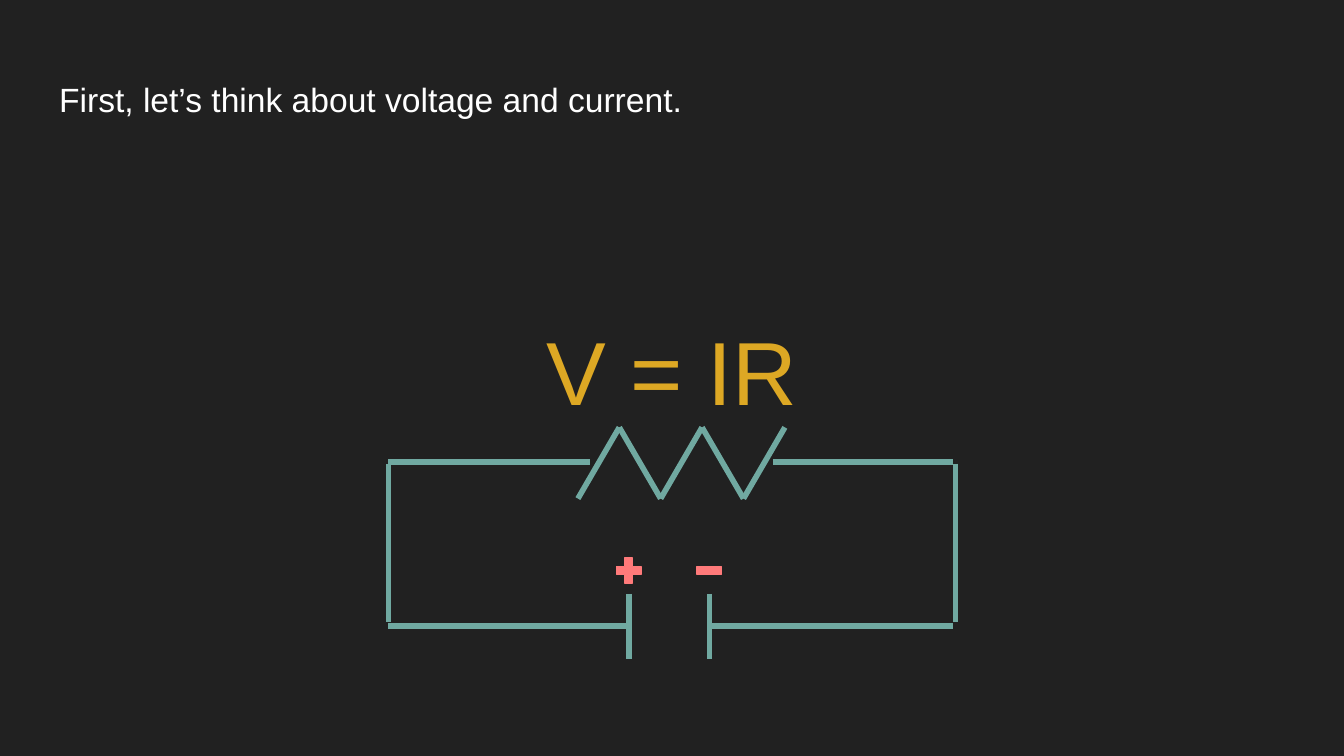
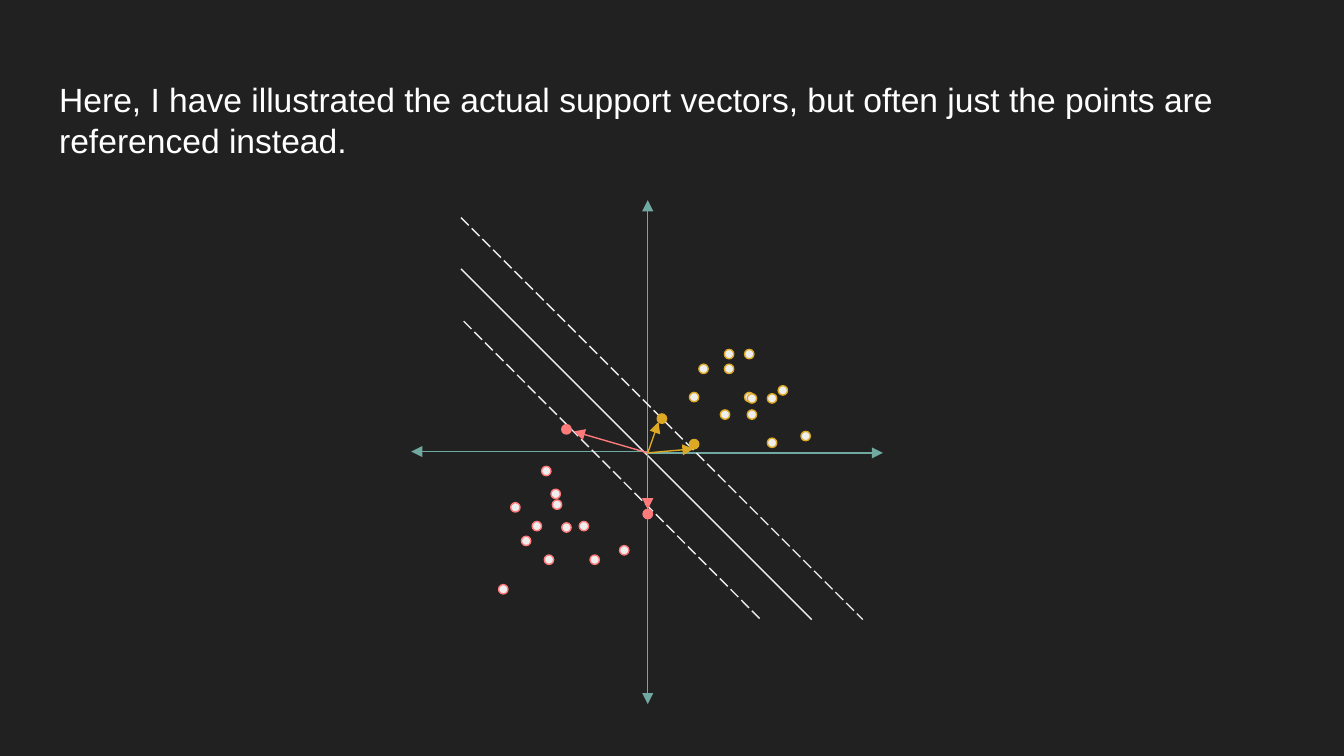
from dataclasses import dataclass
from itertools import pairwise

from lxml.etree import SubElement
from pptx import Presentation
from pptx.dml.color import RGBColor
from pptx.enum.dml import MSO_LINE_DASH_STYLE as Dash
from pptx.enum.shapes import MSO_CONNECTOR, MSO_SHAPE as Shape
from pptx.enum.text import MSO_ANCHOR, MSO_AUTO_SIZE, PP_ALIGN
from pptx.oxml.ns import qn
from pptx.util import Emu, Inches, Pt


@dataclass(frozen=True)
class Theme:
    background = RGBColor.from_string("212121")
    white = RGBColor.from_string("FFFFFF")
    pale = RGBColor.from_string("EEEEEE")
    teal = RGBColor.from_string("70A9A1")
    amber = RGBColor.from_string("DDA824")
    coral = RGBColor.from_string("FF7A7A")
    font = "Arial"
    title_size = Pt(18)
    formula_size = Pt(48)
    wire_width = Pt(3)
    thin_width = Pt(0.75)


theme = Theme()

prs = Presentation()
prs.slide_width, prs.slide_height = Inches(10), Inches(5.625)
CELL = prs.slide_width / 100  # square grid, 100 columns wide

master_fill = prs.slide_master.background.fill
master_fill.solid()
master_fill.fore_color.rgb = theme.background


def cells(*counts):
    return [Emu(round(count * CELL)) for count in counts]


def add_line(slide, start, end, color, width, dash=None, arrow=False):
    """Draw a straight line between two grid points, with an optional arrowhead at its end."""
    connector = slide.shapes.add_connector(MSO_CONNECTOR.STRAIGHT, *cells(*start, *end))
    connector.line.color.rgb = color
    connector.line.width = width
    if dash:
        connector.line.dash_style = dash
    properties = connector._element.spPr
    if arrow:
        SubElement(properties.find(qn("a:ln")), qn("a:tailEnd"), type="triangle")
    SubElement(properties, qn("a:effectLst"))


# Both slides: title
titles = [
    "First, let’s think about voltage and current.",
    "Here, I have illustrated the actual support vectors, but often just the points are referenced instead.",
]
for heading in titles:
    slide = prs.slides.add_slide(prs.slide_layouts[5])
    title = slide.shapes.title
    title.left, title.top, title.width, title.height = cells(3.4, 4.9, 93.2, 6.3)
    frame = title.text_frame
    frame.text = heading
    frame.word_wrap = True
    frame.auto_size = MSO_AUTO_SIZE.NONE
    frame.vertical_anchor = MSO_ANCHOR.TOP
    frame.margin_left, frame.margin_top, frame.margin_right, frame.margin_bottom = cells(1, 1, 1, 1)
    frame.paragraphs[0].alignment = PP_ALIGN.LEFT
    font = frame.paragraphs[0].runs[0].font
    font.name, font.size, font.color.rgb = theme.font, theme.title_size, theme.white

circuit, support_vectors = prs.slides

# Slide 1: formula
formula = circuit.shapes.add_textbox(*cells(3.4, 12.6, 93.2, 37.4)).text_frame
formula.text = "V = IR"
formula.word_wrap = True
formula.vertical_anchor = MSO_ANCHOR.MIDDLE
formula.margin_left, formula.margin_top, formula.margin_right, formula.margin_bottom = cells(1, 1, 1, 9.8)
formula.paragraphs[0].alignment = PP_ALIGN.CENTER
formula.paragraphs[0].line_spacing = 1.15
font = formula.paragraphs[0].runs[0].font
font.name, font.size, font.color.rgb = theme.font, theme.formula_size, theme.amber

# Slide 1: resistor, wires and battery
LEFT, RIGHT, TOP, BOTTOM = 28.9, 71.1, 34.4, 46.6
POSITIVE, NEGATIVE = 46.8, 52.8
resistor = [(43 + 3.08 * step, 31.8 if step % 2 else 37.1) for step in range(6)]
wires = [
    ((LEFT, TOP), (43.9, TOP)),
    ((57.5, TOP), (70.9, TOP)),
    ((LEFT, 34.5), (LEFT, 46.3)),
    ((RIGHT, 34.5), (RIGHT, 46.3)),
    ((LEFT, BOTTOM), (POSITIVE, BOTTOM)),
    ((NEGATIVE, BOTTOM), (70.9, BOTTOM)),
]
plates = [((x, 44.2), (x, 49)) for x in (POSITIVE, NEGATIVE)]
for start, end in [*pairwise(resistor), *wires, *plates]:
    add_line(circuit, start, end, theme.teal, theme.wire_width)

for sign_kind, x in ((Shape.MATH_PLUS, POSITIVE), (Shape.MATH_MINUS, NEGATIVE)):
    sign = circuit.shapes.add_shape(sign_kind, *cells(x - 1.27, 41.2, 2.5, 2.5))
    sign.adjustments[0] = 0.235
    sign.shadow.inherit = False
    sign.fill.solid()
    sign.fill.fore_color.rgb = sign.line.color.rgb = theme.coral
    sign.line.width = theme.thin_width

# Slide 2: plot, with offsets right of and above the origin
ORIGIN_X, ORIGIN_Y = 48.2, 33.7
DOT = 0.7
origin = (0, 0)
plot_lines = [
    (origin, (0, 18.8), theme.teal, None, True),
    (origin, (17.5, 0), theme.teal, None, True),
    (origin, (0, -18.7), theme.teal, None, True),
    ((0, 0.1), (-17.6, 0.1), theme.teal, None, True),
    ((-13.9, 13.7), (12.2, -12.4), theme.pale, None, False),
    ((-13.9, 17.5), (16, -12.4), theme.pale, Dash.LONG_DASH, False),
    ((-13.7, 9.8), (8.4, -12.4), theme.pale, Dash.LONG_DASH, False),
]
vectors = [
    (origin, (0.8, 2.3), theme.amber, None, True),
    (origin, (3.4, 0.3), theme.amber, None, True),
    (origin, (0, -4.2), theme.coral, None, True),
    (origin, (-5.5, 1.6), theme.coral, None, True),
]
amber_points = [
    (6.05, 7.35), (7.55, 4.15), (7.55, 7.35), (3.45, 4.15), (6.05, 6.25),
    (4.15, 6.25), (10.05, 4.65), (7.75, 4.05), (9.25, 0.75), (9.25, 4.05),
    (7.75, 2.85), (5.75, 2.85), (11.75, 1.25),
]
coral_points = [
    (-7.35, -7.95), (-1.75, -7.25), (-6.75, -3.85), (-9.05, -6.55),
    (-6.05, -5.55), (-3.95, -7.95), (-10.75, -10.15), (-8.25, -5.45),
    (-7.55, -1.35), (-9.85, -4.05), (-6.85, -3.05), (-4.75, -5.45),
]
point_groups = [
    (amber_points, theme.pale, theme.amber),
    (coral_points, theme.pale, theme.coral),
    ([(1.05, 2.55), (3.45, 0.65)], theme.amber, theme.amber),
    ([(-6.05, 1.75), (0, -4.55)], theme.coral, theme.coral),
]

for layer in (plot_lines, point_groups, vectors):
    if layer is point_groups:
        for points, inside, outline in layer:
            for dx, dy in points:
                corner = (ORIGIN_X + dx - DOT / 2, ORIGIN_Y - dy - DOT / 2)
                dot = support_vectors.shapes.add_shape(Shape.OVAL, *cells(*corner, DOT, DOT))
                dot.shadow.inherit = False
                dot.fill.solid()
                dot.fill.fore_color.rgb = inside
                dot.line.color.rgb = outline
                dot.line.width = theme.thin_width
        continue
    for start, end, color, dash, arrow in layer:
        ends = [(ORIGIN_X + dx, ORIGIN_Y - dy) for dx, dy in (start, end)]
        add_line(support_vectors, *ends, color, theme.thin_width, dash, arrow)

prs.save("out.pptx")
